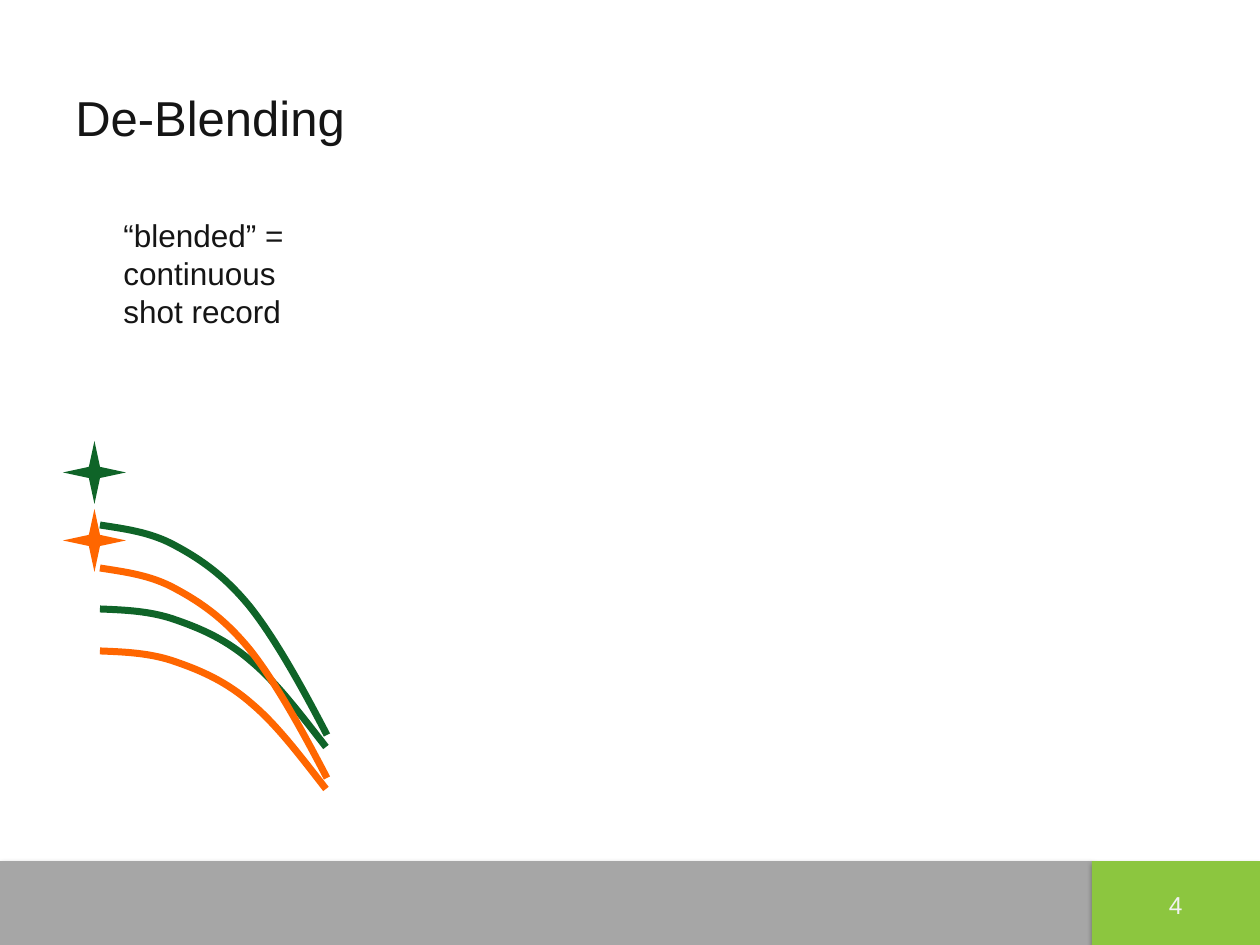
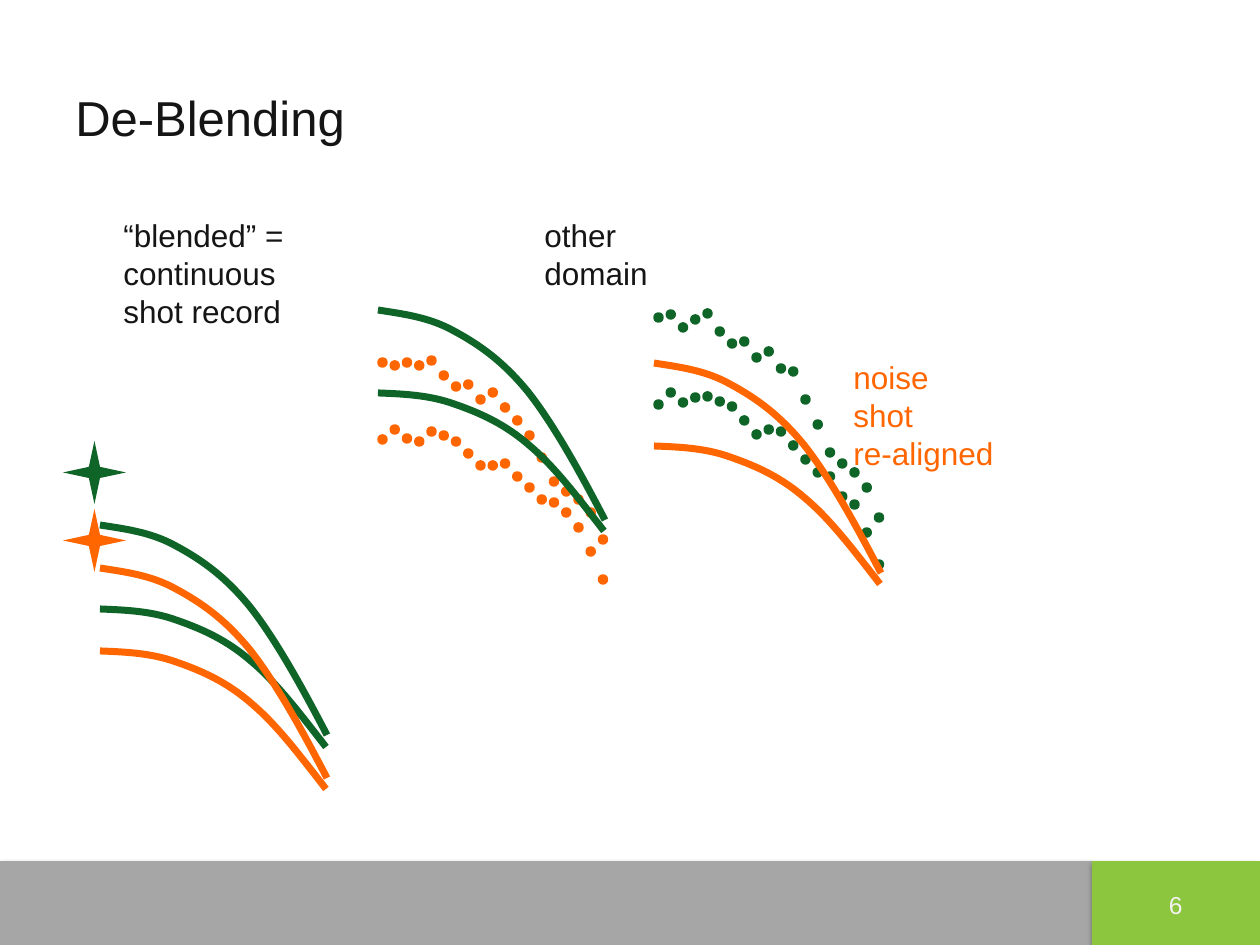
from lxml import etree
from pptx import Presentation
from pptx import util as u
from pptx.dml.color import RGBColor
from pptx.enum import shapes, text
from pptx.oxml.ns import qn

PX = 914400 / 126
INK = RGBColor(0x15, 0x15, 0x15)
GREY = RGBColor(0xA6, 0xA6, 0xA6)
LIME = RGBColor(0x8C, 0xC6, 0x3F)
PALE = RGBColor(0xF2, 0xF2, 0xF2)
GREEN = RGBColor(0x0F, 0x64, 0x28)
ORANGE = RGBColor(0xFF, 0x66, 0x00)

STEEP = [(0, 0), (25, 4), (51, 7), (76, 21), (102, 35),
         (126, 52), (151, 83), (176, 115), (202, 162), (227, 210)]
FLAT = [(0, 0), (25, 1), (51, 2), (76, 11), (102, 20),
        (127, 31), (152, 53), (177, 74), (201, 106), (226, 138)]
DOT = 7
DOT_PITCH = 12.25

GREEN_NOISE = [
    [314, 311, 324, 316, 310, 328, 340, 338, 354, 348,
     365, 368, 396, 421, 449, 460, 469, 484, 514],
    [401, 389, 399, 394, 393, 398, 403, 417, 431, 426,
     428, 442, 456, 469, 473, 493, 501, 529, 561]]
ORANGE_NOISE = [
    [359, 362, 359, 362, 357, 372, 383, 381, 396, 389,
     404, 417, 432, 454, 478, 488, 496, 509, 536],
    [436, 426, 435, 438, 428, 432, 438, 450, 462, 462,
     460, 473, 484, 496, 499, 509, 524, 548, 576]]

SHOT_RECORD = [(STEEP, 100, 525, GREEN), (FLAT, 100, 609, GREEN),
               (STEEP, 100, 568, ORANGE), (FLAT, 100, 651, ORANGE)]
ORANGE_ALIGNED = [(STEEP, 654, 363, ORANGE), (FLAT, 654, 446, ORANGE)]
GREEN_ALIGNED = [(STEEP, 378, 310, GREEN), (FLAT, 378, 393, GREEN)]

BLENDED = ("“blended” =\vcontinuous\nshot record", (111, 210, 185, 126), INK, 0)
OTHER = ("other domain", (532, 210, 208, 50), INK, 25)
REALIGNED = ("noise shot\nre-aligned", (841, 352, 168, 88), ORANGE, 14)

SLIDES = [
    ("4", [BLENDED], [], SHOT_RECORD),
    ("6", [BLENDED, OTHER, REALIGNED],
     [(655, GREEN_NOISE, GREEN), (379, ORANGE_NOISE, ORANGE)],
     ORANGE_ALIGNED + GREEN_ALIGNED + SHOT_RECORD),
]


def write(slide, words, box, size=18, color=INK, align=text.PP_ALIGN.LEFT,
          anchor=text.MSO_ANCHOR.TOP, right=13):
    frame = slide.shapes.add_textbox(*(u.Emu(round(v * PX)) for v in box)).text_frame
    frame.word_wrap = True
    frame.vertical_anchor = anchor
    frame.margin_right = u.Emu(round(right * PX))
    frame.text = words
    for line in frame.paragraphs:
        line.alignment = align
        line.font.name = "Arial"
        line.font.size = u.Pt(size)
        line.font.color.rgb = color
        for run in line.runs:
            run.font.name = "Arial"
            run.font.size = u.Pt(size)
            run.font.color.rgb = color


def add_solid(slide, kind, box, color, outline=0):
    solid = slide.shapes.add_shape(kind, *(u.Emu(round(v * PX)) for v in box))
    solid.shadow.inherit = False
    solid.fill.solid()
    solid.fill.fore_color.rgb = color
    if outline:
        solid.line.color.rgb = color
        solid.line.width = u.Pt(outline)
    else:
        solid.line.fill.background()
    return solid


prs = Presentation()
prs.slide_width = u.Inches(10)
prs.slide_height = u.Inches(7.5)

for number, labels, noise, curves in SLIDES:
    slide = prs.slides.add_slide(prs.slide_layouts[6])

    for left, width, color in [(0, 1092, GREY), (1092, 168, LIME)]:
        band = add_solid(slide, shapes.MSO_SHAPE.RECTANGLE, (left, 861, width, 84), color)
        effects = band._element.spPr.find(qn("a:effectLst"))
        shade = etree.SubElement(effects, qn("a:outerShdw"), blurRad="39400",
                                 dist="22900", dir="5400000", rotWithShape="0")
        black = etree.SubElement(shade, qn("a:srgbClr"), val="000000")
        etree.SubElement(black, qn("a:alpha"), val="35000")

    write(slide, number, (1142, 884, 68, 42), size=14, color=PALE,
          align=text.PP_ALIGN.CENTER)
    write(slide, "De-Blending", (63, 38, 1134, 158), size=28,
          anchor=text.MSO_ANCHOR.MIDDLE)

    for left, rows, color in noise:
        for tops in rows:
            for i, top in enumerate(tops):
                add_solid(slide, shapes.MSO_SHAPE.OVAL,
                          (left + i * DOT_PITCH, top, DOT, DOT), color, outline=2)

    for outline, left, top, color in curves:
        points = [(left + x, top + y) for x, y in outline]
        builder = slide.shapes.build_freeform(*points[0], scale=PX)
        builder.add_line_segments(points[1:], close=False)
        event = builder.convert_to_shape()
        segments = list(event._element.iter(qn("a:lnTo")))
        for k in range(0, len(segments), 3):
            bend = etree.Element(qn("a:cubicBezTo"))
            segments[k].addprevious(bend)
            for segment in segments[k:k + 3]:
                bend.append(segment[0])
                segment.getparent().remove(segment)
        event.shadow.inherit = False
        event.fill.background()
        event.line.color.rgb = color
        event.line.width = u.Pt(4)

    for top, color in [(441, GREEN), (509, ORANGE)]:
        source = add_solid(slide, shapes.MSO_SHAPE.STAR_4_POINT, (63, top, 63, 63), color)
        source.adjustments[0] = 0.125

    for words, box, color, right in labels:
        write(slide, words, box, color=color, right=right)

prs.save("out.pptx")
